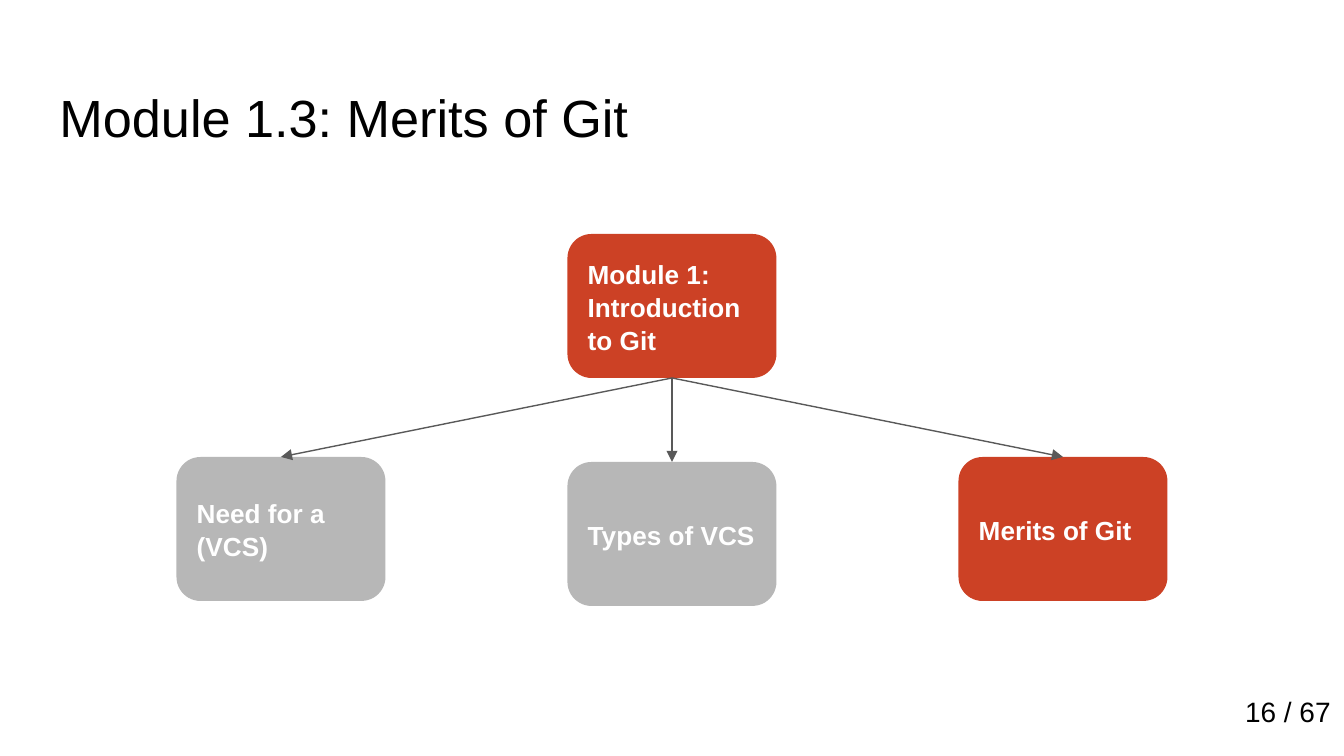
import pptx
import pptx.util
import pptx.dml.color
import pptx.enum.shapes
import pptx.enum.text
import pptx.oxml
import pptx.oxml.ns

SCALE = 914400 / 134.4
ANCHOR = pptx.enum.text.MSO_ANCHOR
ALIGN = pptx.enum.text.PP_ALIGN
KIND = pptx.enum.shapes


def color(hue):
    return pptx.dml.color.RGBColor.from_string(hue)


def write(shape, words, size, hue, bold=False, anchor=ANCHOR.TOP,
          align=ALIGN.LEFT, space=1.0):
    frame = shape.text_frame
    frame.word_wrap = True
    frame.auto_size = pptx.enum.text.MSO_AUTO_SIZE.NONE
    frame.vertical_anchor = anchor
    for side in ("left", "top", "right", "bottom"):
        setattr(frame, "margin_" + side, pptx.util.Inches(0.1))
    para = frame.paragraphs[0]
    para.alignment = align
    para.line_spacing = space
    run = para.add_run()
    run.text = words
    run.font.name = "Arial"
    run.font.size = pptx.util.Pt(size)
    run.font.bold = bold
    run.font.color.rgb = color(hue)


deck = pptx.Presentation()
deck.slide_width = round(1344 * SCALE)
deck.slide_height = round(756 * SCALE)
slide = deck.slides.add_slide(deck.slide_layouts[5])

title = slide.shapes.title
title.left, title.top, title.width, title.height = [
    round(n * SCALE) for n in (46, 66, 1252, 84)]
write(title, "Module 1.3: Merits of Git", 28, "000000", space=1.1)

RED, GRAY = "CC4125", "B7B7B7"
WIDE, HIGH, MID, STEP = 209, 144, 672, 391
nodes = []
for words, col, top, fill in (
    ("Module 1: Introduction to Git", 0, 234, RED),
    ("Need for a (VCS)", -1, 457, GRAY),
    ("Types of VCS", 0, 462, GRAY),
    ("Merits of Git", 1, 457, RED),
):
    left = MID + col * STEP - WIDE / 2
    node = slide.shapes.add_shape(
        KIND.MSO_SHAPE.ROUNDED_RECTANGLE,
        *[round(n * SCALE) for n in (left, top, WIDE, HIGH)])
    node.adjustments[0] = 0.167
    node.shadow.inherit = False
    node.fill.solid()
    node.fill.fore_color.rgb = color(fill)
    node.line.fill.background()
    write(node, words, 14, "FFFFFF", True, ANCHOR.MIDDLE, space=1.05)
    nodes.append(node)

root, *leaves = nodes
for leaf in leaves:
    line = slide.shapes.add_connector(KIND.MSO_CONNECTOR.STRAIGHT, 0, 0, 0, 0)
    line.begin_connect(root, 2)
    line.end_connect(leaf, 0)
    line.line.color.rgb = color("595959")
    line.line.width = pptx.util.Pt(0.75)
    tip = pptx.oxml.ns.qn("a:tailEnd")
    stroke = line.line._get_or_add_ln()
    stroke.append(stroke.makeelement(tip, {"type": "triangle", "w": "med", "len": "med"}))
    props = line._element.spPr
    props.append(props.makeelement(pptx.oxml.ns.qn("a:effectLst"), {}))

page = slide.shapes.add_textbox(
    *[round(n * SCALE) for n in (1195, 681, 149, 75)])
write(page, "16 / 67", 15, "000000", align=ALIGN.RIGHT)

deck.save("out.pptx")
